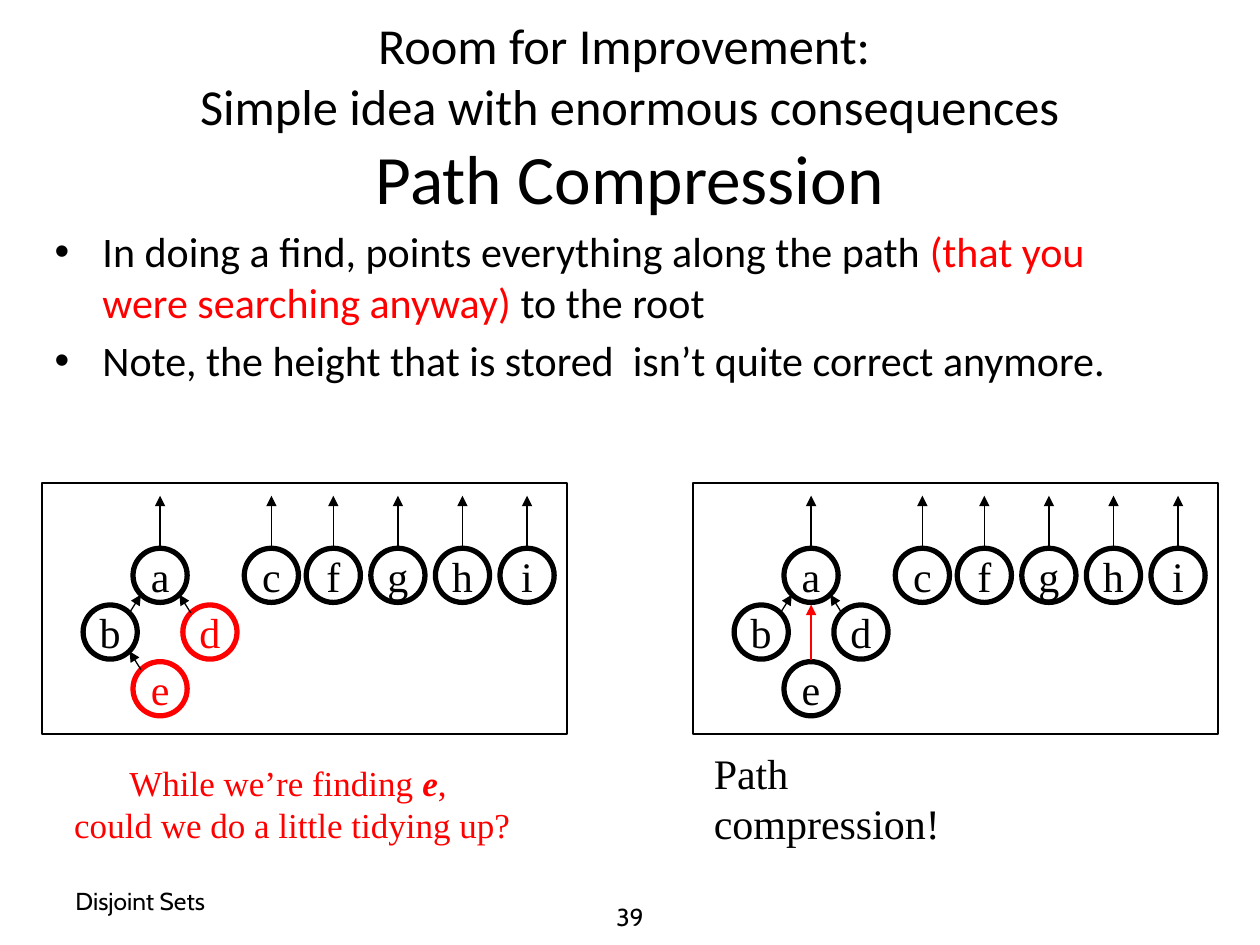
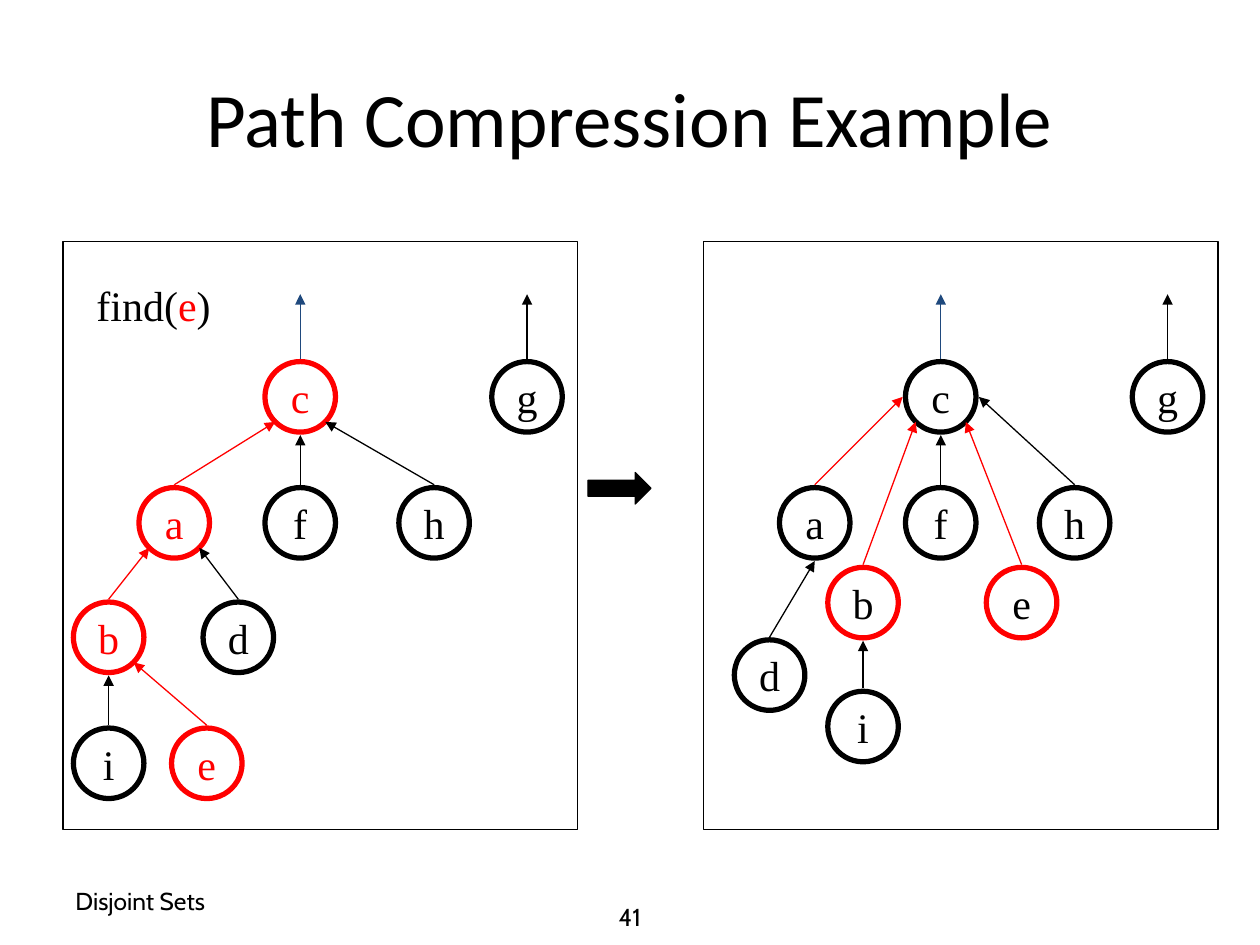
from dataclasses import dataclass, field
from typing import NamedTuple

from lxml.etree import SubElement
from pptx import Presentation
from pptx.dml.color import RGBColor
from pptx.enum.shapes import MSO_CONNECTOR, MSO_SHAPE
from pptx.enum.text import MSO_ANCHOR, MSO_AUTO_SIZE, PP_ALIGN
from pptx.oxml.ns import qn
from pptx.util import Emu, Inches, Pt


@dataclass(frozen=True)
class Theme:
    black: RGBColor = RGBColor(0, 0, 0)
    red: RGBColor = RGBColor(255, 0, 0)
    blue: RGBColor = RGBColor(0x1F, 0x49, 0x7D)
    white: RGBColor = RGBColor(255, 255, 255)
    head: str = "Calibri"
    diagram: str = "Times New Roman"
    foot: str = "Cabin"
    title_size: float = 44
    lead_size: float = 28.8
    topic_size: float = 39.6
    body_size: float = 24
    caption_size: float = 20
    foot_size: float = 14
    thin: float = 0.75
    ring: float = 3


T = Theme()
WIDTH, HEIGHT = Inches(10), Inches(7.5)
COLS, ROWS = 120, 90
PORTS = {
    "n": (0, -1.08), "s": (0, 1.08), "e": (1.08, 0), "w": (-1.08, 0),
    "ne": (0.71, -0.71), "nw": (-0.71, -0.71),
    "se": (0.71, 0.71), "sw": (-0.71, 0.71),
}


class Box(NamedTuple):
    col: float
    row: float
    cols: float
    rows: float


class Run(NamedTuple):
    text: str
    color: RGBColor = T.black
    fmt: dict = {}


class Node(NamedTuple):
    label: str
    x: float
    y: float
    ring: RGBColor = T.black
    ink: RGBColor = T.black


class Edge(NamedTuple):
    child: str
    parent: str
    leave: str
    enter: str
    color: RGBColor = T.black


@dataclass
class Forest:
    box: Box
    diameter: float
    root_rows: float
    nodes: list[Node]
    edges: list[Edge]
    roots: dict[str, RGBColor] = field(default_factory=dict)


def col(n: float) -> Emu:
    return Emu(round(WIDTH * n / COLS))


def row(n: float) -> Emu:
    return Emu(round(HEIGHT * n / ROWS))


def frame(box: Box) -> tuple[Emu, Emu, Emu, Emu]:
    return col(box.col), row(box.row), col(box.cols), row(box.rows)


def place(sp, box: Box) -> None:
    for name, value in zip(("left", "top", "width", "height"), frame(box)):
        setattr(sp, name, value)


def write(p, runs: list[Run], font: str, size: float, align=None) -> None:
    p.alignment = align
    for part in runs:
        r = p.add_run()
        r.text = part.text
        for name, value in {"name": font, "size": Pt(size), **part.fmt}.items():
            setattr(r.font, name, value)
        r.font.color.rgb = part.color


def add_text(s, box: Box, lines: list[list[Run]], font: str, size: float,
             align=None, **fmt) -> None:
    tf = s.shapes.add_textbox(*frame(box)).text_frame
    for name, value in fmt.items():
        setattr(tf, name, value)
    for i, runs in enumerate(lines):
        p = tf.add_paragraph() if i else tf.paragraphs[0]
        write(p, runs, font, size, align)


def add_caption(s, box: Box, lines: list[list[Run]], size: float, align=None) -> None:
    add_text(s, box, lines, T.diagram, size, align,
             word_wrap=False, auto_size=MSO_AUTO_SIZE.SHAPE_TO_FIT_TEXT)


def add_figure(s, kind, box: Box, line: RGBColor, width: float, fill=None):
    sp = s.shapes.add_shape(kind, *frame(box))
    sp.shadow.inherit = False
    sp.line.color.rgb = line
    sp.line.width = Pt(width)
    if fill is None:
        sp.fill.background()
    else:
        sp.fill.solid()
        sp.fill.fore_color.rgb = fill
    return sp


def add_arrow(s, start: tuple, end: tuple, color: RGBColor) -> None:
    c = s.shapes.add_connector(MSO_CONNECTOR.STRAIGHT, col(start[0]), row(start[1]),
                               col(end[0]), row(end[1]))
    c.line.color.rgb = color
    c.line.width = Pt(T.thin)
    pr = c.element.spPr
    SubElement(pr.find(qn("a:ln")), qn("a:tailEnd"), type="triangle")
    SubElement(pr, qn("a:effectLst"))


def add_node(s, x: float, y: float, d: float, node: Node) -> None:
    sp = add_figure(s, MSO_SHAPE.OVAL, Box(x - d / 2, y - d / 2, d, d), node.ring, T.ring)
    tf = sp.text_frame
    margins = dict.fromkeys(("margin_left", "margin_right", "margin_top", "margin_bottom"), 0)
    fmt = {"word_wrap": False, "vertical_anchor": MSO_ANCHOR.MIDDLE, **margins}
    for name, value in fmt.items():
        setattr(tf, name, value)
    write(tf.paragraphs[0], [Run(node.label, node.ink)], T.diagram, T.body_size,
          PP_ALIGN.CENTER)


def add_forest(s, f: Forest) -> None:
    add_figure(s, MSO_SHAPE.RECTANGLE, f.box, T.black, T.thin, T.white)
    centers = {n.label: (f.box.col + n.x, f.box.row + n.y) for n in f.nodes}

    def port(label: str, side: str) -> tuple[float, float]:
        (x, y), (dx, dy) = centers[label], PORTS[side]
        return x + dx * f.diameter / 2, y + dy * f.diameter / 2

    for n in f.nodes:
        add_node(s, *centers[n.label], f.diameter, n)
    for e in f.edges:
        add_arrow(s, port(e.child, e.leave), port(e.parent, e.enter), e.color)
    for label, color in f.roots.items():
        x, y = port(label, "n")
        add_arrow(s, (x, y), (x, y - f.root_rows), color)


def add_slide(prs, layout: int, title: list[Run], sizes: list[float], number: int):
    s = prs.slides.add_slide(prs.slide_layouts[layout])
    place(s.shapes.title, Box(6, 3.6, 108, 15))
    tf = s.shapes.title.text_frame
    tf.auto_size = MSO_AUTO_SIZE.NONE
    tf.vertical_anchor = MSO_ANCHOR.MIDDLE
    p = tf.paragraphs[0]
    for i, (part, size) in enumerate(zip(title, sizes)):
        if i:
            p.add_line_break()
        write(p, [part], T.head, size, PP_ALIGN.CENTER)
    fmt = {"word_wrap": True, "vertical_anchor": MSO_ANCHOR.MIDDLE}
    add_text(s, Box(6, 83.4, 28, 4.8), [[Run("Disjoint Sets")]], T.foot, T.foot_size, **fmt)
    add_text(s, Box(41, 84.9, 38, 4.8), [[Run(str(number))]], T.foot, T.foot_size,
             PP_ALIGN.CENTER, **fmt)
    return s


def add_bullets(sp, box: Box, items: list[list[Run]]) -> None:
    place(sp, box)
    tf = sp.text_frame
    tf.auto_size = MSO_AUTO_SIZE.NONE
    for i, runs in enumerate(items):
        p = tf.add_paragraph() if i else tf.paragraphs[0]
        p.space_before = Pt(T.body_size * 0.2 if i else 0)
        pr = p._p.get_or_add_pPr()
        pr.set("marL", str(Inches(0.38)))
        pr.set("indent", str(-Inches(0.38)))
        SubElement(pr, qn("a:buFont"), typeface="Arial")
        SubElement(pr, qn("a:buChar"), char="•")
        write(p, runs, T.head, T.body_size)


def idea_forest(left: float, searched: RGBColor, e_edge: Edge) -> Forest:
    singles = [Node("c", 21.85, 8.8)]
    singles += [Node(label, 27.75 + 6.15 * i, 8.8) for i, label in enumerate("fghi")]
    nodes = [Node("a", 11.25, 8.8), Node("b", 6.5, 14.2),
             Node("d", 16, 14.2, searched, searched),
             Node("e", 11.25, 19.6, searched, searched)]
    edges = [Edge("b", "a", "ne", "sw"), Edge("d", "a", "nw", "se"), e_edge]
    return Forest(Box(left, 46, 50, 23.9), 5.16, 4.8, nodes + singles, edges,
                  dict.fromkeys("acfghi", T.black))


def example_forest(left: float, top_ink: RGBColor, lower: list[Node],
                   edges: list[Edge]) -> Forest:
    nodes = [Node("c", 22.6, 14.8, top_ink, top_ink), Node("g", 44.2, 14.8),
             Node("a", 10.6, 26.8, top_ink, top_ink), Node("f", 22.6, 26.8),
             Node("h", 35.35, 26.8)]
    return Forest(Box(left, 23, 49, 56), 6.72, 6.15, nodes + lower,
                  [Edge("f", "c", "n", "s"), Edge("i", "b", "n", "s"), *edges],
                  {"c": T.blue, "g": T.black})


def idea_slide(prs) -> None:
    title = [Run("Room for Improvement: "), Run("Simple idea with enormous consequences"),
             Run("Path Compression")]
    s = add_slide(prs, 1, title, [T.lead_size, T.lead_size, T.topic_size], 39)
    add_bullets(s.placeholders[1], Box(4, 20.9, 108.2, 18.1), [
        [Run("In doing a find, points everything along the path "),
         Run("(that you were searching anyway) ", T.red), Run("to the root")],
        [Run("Note, the height that is stored  isn’t quite correct anymore.")],
    ])
    add_forest(s, idea_forest(4, T.red, Edge("e", "b", "nw", "se")))
    add_forest(s, idea_forest(66, T.black, Edge("e", "a", "n", "s", T.red)))
    add_caption(s, Box(5.75, 71.9, 44.2, 9.3), [
        [Run("While we’re finding ", T.red), Run("e", T.red, {"bold": True, "italic": True}),
         Run(", ", T.red)],
        [Run("could we do a little tidying up?", T.red)],
    ], T.caption_size, PP_ALIGN.CENTER)
    add_caption(s, Box(66.8, 70.6, 32, 6), [[Run("Path compression!")]], T.body_size)


def example_slide(prs) -> None:
    s = add_slide(prs, 5, [Run("Path Compression Example")], [T.title_size], 41)
    add_forest(s, example_forest(6, T.red, [
        Node("b", 4.35, 37.7, T.red, T.red), Node("d", 16.7, 37.7),
        Node("i", 4.35, 49.7), Node("e", 13.7, 49.7, T.red, T.red),
    ], [
        Edge("h", "c", "n", "se"), Edge("a", "c", "n", "sw", T.red),
        Edge("b", "a", "n", "sw", T.red), Edge("d", "a", "n", "se"),
        Edge("e", "b", "n", "se", T.red),
    ]))
    add_forest(s, example_forest(67, T.black, [
        Node("b", 15.2, 34.4, T.red), Node("e", 30.3, 34.4, T.red),
        Node("d", 6.3, 41.3), Node("i", 15.2, 46.2),
    ], [
        Edge("h", "c", "n", "e"), Edge("a", "c", "n", "w", T.red),
        Edge("b", "c", "n", "sw", T.red), Edge("e", "c", "n", "se", T.red),
        Edge("d", "a", "n", "s"),
    ]))
    add_figure(s, MSO_SHAPE.RIGHT_ARROW, Box(56, 45, 6, 3), T.black, T.thin, T.black)
    add_caption(s, Box(8, 26, 13.3, 6), [[Run("find("), Run("e", T.red), Run(")")]],
                T.body_size)


def main() -> None:
    prs = Presentation()
    prs.slide_width, prs.slide_height = WIDTH, HEIGHT
    idea_slide(prs)
    example_slide(prs)
    prs.save("out.pptx")


if __name__ == "__main__":
    main()
